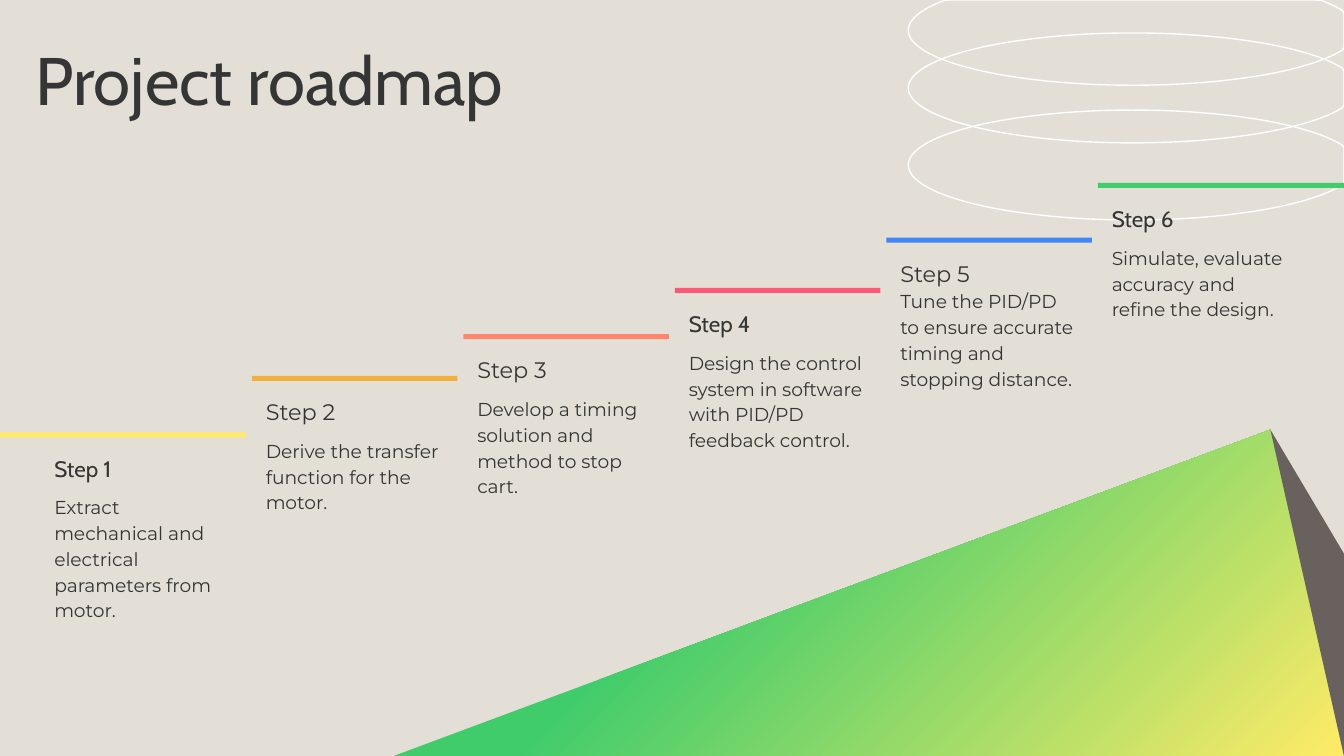
import math

import pptx
import pptx.dml.color
import pptx.enum.shapes
import pptx.enum.text
import pptx.util
from pptx.util import Pt

WIDTH, HEIGHT = 720, 405
INK, GREEN, YELLOW = "353535", "41CC6B", "FFEB67"
COLUMN_LEFT, COLUMN_PITCH, COLUMN_WIDTH = 22, 113.3, 109.8

# heading, heading font, description, space around description, bar top, bar colour
STEPS = [
    ("Step 1", "Cabin", "Extract mechanical and electrical parameters from motor.", 6, 231.7, YELLOW),
    ("Step 2", "Montserrat", "Derive the transfer function for the motor.", 6, 201.4, "F0B03B"),
    ("Step 3", "Montserrat", "Develop a timing solution and method to stop cart.", 6, 179, "FF866D"),
    ("Step 4", "Cabin", "Design the control system in software with PID/PD feedback control.", 6, 154.3, "FF5777"),
    ("Step 5", "Montserrat", "Tune the PID/PD to ensure accurate timing and stopping distance.", 0, 127.3, "4285F4"),
    ("Step 6", "Cabin", "Simulate, evaluate accuracy and refine the design.", 6, 98, GREEN),
]


def rgb(value):
    return pptx.dml.color.RGBColor.from_string(value)


def add_outline(slide, points):
    """Closed polygon through points given in points of length."""
    points = [(Pt(x), Pt(y)) for x, y in points]
    builder = slide.shapes.build_freeform(*points[0])
    builder.add_line_segments(points[1:], close=True)
    sp = builder.convert_to_shape()
    sp.shadow.inherit = False
    return sp


def add_ring(slide, left, top, width, height):
    """White ellipse cut off at the top and right slide edges."""
    rx, ry = width / 2, height / 2
    angles = [math.radians(3 * i) for i in range(120)]
    sp = add_outline(slide, [
        (min(left + rx + rx * math.cos(a), WIDTH), max(top + ry + ry * math.sin(a), 0))
        for a in angles
    ])
    sp.fill.background()
    sp.line.color.rgb = rgb("FFFFFF")
    sp.line.width = Pt(0.75)


def add_pyramid(slide, left, top, width, height):
    right, bottom = left + width, top + height
    apex = (left + 469.8, top)
    front = add_outline(slide, [apex, (right, bottom), (left, bottom)])
    front.fill.gradient()
    front.fill.gradient_angle = 315
    for stop, position, color in zip(front.fill.gradient_stops, (0.35, 1), (GREEN, YELLOW)):
        stop.position = position
        stop.color.rgb = rgb(color)
    side = add_outline(slide, [apex, (right, bottom), (right, top + 66.4)])
    side.fill.solid()
    side.fill.fore_color.rgb = rgb("69615E")
    for sp in (front, side):
        sp.line.fill.background()


def add_text(slide, left, top, width, height, lines, line_spacing):
    """Text box; lines holds (text, font, size, space around) per paragraph."""
    box = slide.shapes.add_textbox(Pt(left), Pt(top), Pt(width), Pt(height))
    tf = box.text_frame
    tf.word_wrap = True
    tf.vertical_anchor = pptx.enum.text.MSO_ANCHOR.TOP
    tf.margin_left = tf.margin_right = tf.margin_top = tf.margin_bottom = Pt(7.2)
    tf.text = "\n".join(line[0] for line in lines)
    for p, (_, font, size, space) in zip(tf.paragraphs, lines):
        p.line_spacing = line_spacing
        p.space_before = p.space_after = Pt(space)
        for r in p.runs:
            r.font.name = font
            r.font.size = Pt(size)
            r.font.color.rgb = rgb(INK)


def add_bar(slide, left, top, width, height, color):
    bar = slide.shapes.add_shape(
        pptx.enum.shapes.MSO_SHAPE.RECTANGLE, Pt(left), Pt(top), Pt(width), Pt(height))
    bar.shadow.inherit = False
    bar.fill.solid()
    bar.fill.fore_color.rgb = rgb(color)
    bar.line.fill.background()


def add_roadmap(slide, left, pitch, width):
    """Rising columns; the outer bars run on to the slide edges."""
    for i, (heading, font, description, space, top, color) in enumerate(STEPS):
        x = left + i * pitch
        start = 0 if i == 0 else x - 0.3
        end = WIDTH if i == len(STEPS) - 1 else x + width
        add_bar(slide, start, top, end - start, 2.7, color)
        lines = [(heading, font, 12, 0), (description, "Montserrat", 10, space)]
        add_text(slide, x, top + 2.6, width - 0.4, 93.6, lines, 1.15)


def main():
    prs = pptx.Presentation()
    prs.slide_width, prs.slide_height = Pt(WIDTH), Pt(HEIGHT)
    slide = prs.slides.add_slide(prs.slide_layouts[6])
    slide.background.fill.solid()
    slide.background.fill.fore_color.rgb = rgb("E3DFD6")
    for top in (-13.2, 17.7, 59):
        add_ring(slide, 486.6, top, 240.6, 58.9)
    add_pyramid(slide, 210.8, 230.2, 509.2, 174.8)
    add_text(slide, 11.8, 18, 425.5, 54, [("Project roadmap", "Cabin", 36, 0)], 0.9)
    add_roadmap(slide, COLUMN_LEFT, COLUMN_PITCH, COLUMN_WIDTH)
    prs.save("out.pptx")


if __name__ == "__main__":
    main()
